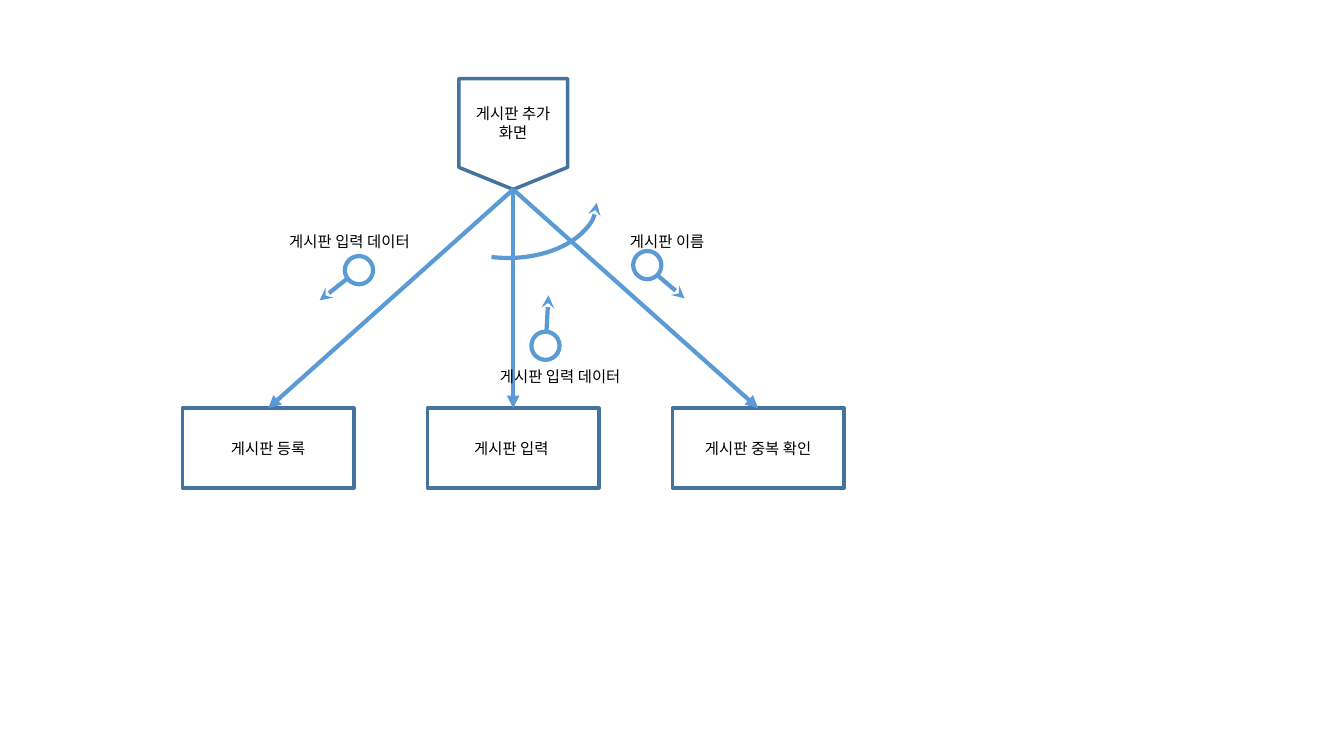
from dataclasses import dataclass

from lxml import etree
from pptx import Presentation
from pptx import util as u
from pptx.dml.color import RGBColor
from pptx.enum import shapes, text
from pptx.oxml.ns import qn

Kind = shapes.MSO_SHAPE
PX = 9144  # 100 px to the inch


@dataclass(frozen=True)
class Theme:
    font: str = "Noto Sans CJK KR"
    size: float = 11
    ink: RGBColor = RGBColor(0, 0, 0)
    edge: RGBColor = RGBColor(0x43, 0x73, 0x9E)
    flow: RGBColor = RGBColor(0x5B, 0x9B, 0xD5)
    thin: float = 2.5
    thick: float = 3


THEME = Theme()


def px(*nums):
    return [u.Emu(n * PX) for n in nums]


def write(frame, words, align):
    para = frame.paragraphs[0]
    para.alignment = align
    run = para.add_run()
    run.text = words
    font = run.font
    font.name, font.size = THEME.font, u.Pt(THEME.size)
    font.color.rgb = THEME.ink
    etree.SubElement(font._element, qn("a:ea"), typeface=THEME.font)


def stroke(item, color, width):
    item.line.color.rgb = color
    item.line.width = u.Pt(width)


def tip(item, end, kind):
    """Put an arrowhead on headEnd or tailEnd of a line."""
    etree.SubElement(item.line._get_or_add_ln(), qn("a:" + end), type=kind)


def shape(parent, kind, box, color, width):
    item = parent.add_shape(kind, *px(*box))
    item.shadow.inherit = False
    item.fill.background()
    stroke(item, color, width)
    return item


def node(parent, kind, box, words):
    item = shape(parent, kind, box, THEME.edge, THEME.thin)
    frame = item.text_frame
    frame.word_wrap = True
    frame.vertical_anchor = text.MSO_ANCHOR.MIDDLE
    write(frame, words, text.PP_ALIGN.CENTER)


def arrow(parent, start, end, kind):
    item = parent.add_connector(shapes.MSO_CONNECTOR.STRAIGHT, *px(*start, *end))
    stroke(item, THEME.flow, THEME.thick)
    tip(item, "tailEnd", kind)
    etree.SubElement(item._element.spPr, qn("a:effectLst"))


def tree(slide, box):
    """Root screen on top, linked to a row of modules."""
    x, y, w, h = box
    wide, high = 170, 79
    root_w, root_h = 108, 110
    names = ["게시판 등록", "게시판 입력 ", "게시판 중복 확인"]
    step = (w - wide) // (len(names) - 1)
    mid, row = x + w // 2, y + h - high
    node(slide.shapes, Kind.FLOWCHART_OFFPAGE_CONNECTOR,
         (mid - root_w // 2, y, root_w, root_h), "게시판 추가 화면")
    for i, name in enumerate(names):
        left = x + i * step
        node(slide.shapes, Kind.RECTANGLE, (left, row, wide, high), name)
        arrow(slide.shapes, (mid, y + root_h), (left + wide // 2, row), "triangle")


def loop(slide, box):
    """Curved arrow that marks repeated calls."""
    item = shape(slide.shapes, Kind.ARC, box, THEME.flow, THEME.thick)
    item.adjustments[0], item.adjustments[1] = 0.269, 64.081
    tip(item, "headEnd", "stealth")


def couple(slide, box, words, ring, start, end):
    """Label with a ring and short arrow, offset from the label's corner."""
    x, y = box[:2]
    group = slide.shapes.add_group_shape().shapes
    shape(group, Kind.OVAL, (x + ring[0], y + ring[1], 28, 28),
          THEME.flow, THEME.thick)
    arrow(group, (x + start[0], y + start[1]), (x + end[0], y + end[1]), "stealth")
    frame = slide.shapes.add_textbox(*px(*box)).text_frame
    frame.word_wrap = False
    frame.auto_size = text.MSO_AUTO_SIZE.SHAPE_TO_FIT_TEXT
    write(frame, words, text.PP_ALIGN.LEFT)


def main():
    deck = Presentation()
    deck.slide_width, deck.slide_height = px(1333, 750)
    slide = deck.slides.add_slide(deck.slide_layouts[6])
    tree(slide, (181, 78, 656, 406))
    loop(slide, (416, 145, 176, 111))
    couple(slide, (615, 225, 103, 29), "게시판 이름", (13, 24), (37, 48), (64, 71))
    couple(slide, (277, 225, 154, 29), "게시판 입력 데이터",
           (65, 29), (68, 51), (40, 73))
    couple(slide, (486, 359, 154, 29), "게시판 입력 데이터",
           (41, -30), (56, -30), (58, -66))
    deck.save("out.pptx")


if __name__ == "__main__":
    main()
